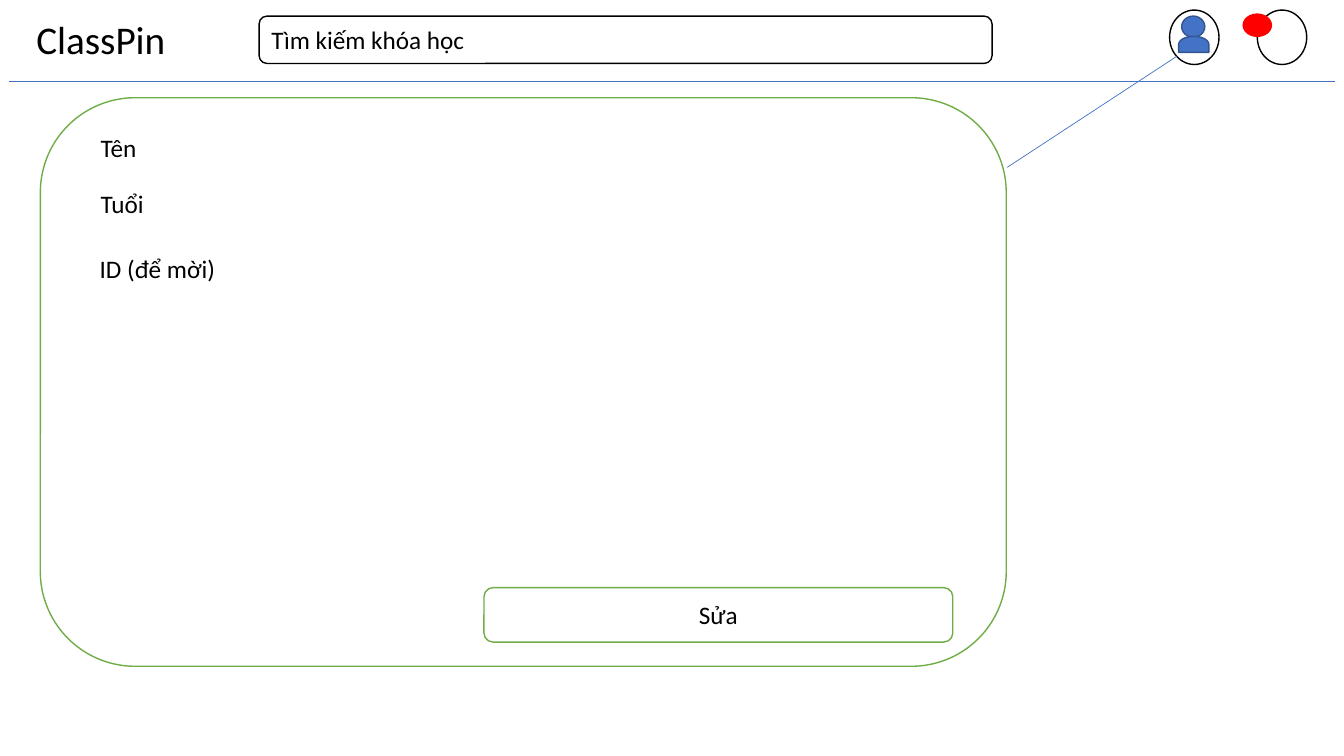
from collections import namedtuple
from dataclasses import dataclass

from lxml.etree import SubElement
from pptx import Presentation
from pptx.dml.color import RGBColor
from pptx.enum.shapes import MSO_CONNECTOR, MSO_SHAPE
from pptx.enum.text import MSO_ANCHOR, MSO_AUTO_SIZE, PP_ALIGN
from pptx.oxml.ns import qn
from pptx.util import Pt

EMU_PER_PX = 9144
Box = namedtuple("Box", "x y w h")


@dataclass(frozen=True)
class Theme:
    """Colours, font and sizes used on the slide."""
    font: str = "Calibri"
    title_size: int = 28
    body_size: int = 18
    outline: float = 1
    hairline: float = 0.5
    black: str = "000000"
    white: str = "FFFFFF"
    blue: str = "4472C4"
    navy: str = "325491"
    red: str = "FF0000"
    green: str = "70AD47"


THEME = Theme()


def rgb(color):
    """Turn a hex string into a colour."""
    return RGBColor.from_string(color)


def emu(*lengths):
    """Turn px lengths into EMU."""
    return [length * EMU_PER_PX for length in lengths]


def inside(box, x, y, w, h):
    """Return a box placed relative to another one."""
    return Box(box.x + x, box.y + y, w, h)


def write(sp, text, size=THEME.body_size, align=PP_ALIGN.LEFT, anchor=MSO_ANCHOR.TOP):
    """Put one formatted line of text into a shape."""
    tf = sp.text_frame
    tf.text = text
    tf.word_wrap = True
    tf.auto_size = MSO_AUTO_SIZE.NONE
    tf.vertical_anchor = anchor
    p = tf.paragraphs[0]
    p.alignment = align
    font = p.runs[0].font
    font.name, font.size = THEME.font, Pt(size)
    font.color.rgb = rgb(THEME.black)


def add_shape(slide, kind, box, fill, line):
    """Add a flat preset shape."""
    sp = slide.shapes.add_shape(kind, *emu(*box))
    sp.shadow.inherit = False
    sp.fill.solid()
    sp.fill.fore_color.rgb = rgb(fill)
    sp.line.color.rgb = rgb(line)
    sp.line.width = Pt(THEME.outline)
    return sp


def add_line(slide, x1, y1, x2, y2):
    """Add a thin straight connector."""
    line = slide.shapes.add_connector(MSO_CONNECTOR.STRAIGHT, *emu(x1, y1, x2, y2))
    line.line.color.rgb = rgb(THEME.blue)
    line.line.width = Pt(THEME.hairline)
    SubElement(line._element.spPr, qn("a:effectLst"))


def add_avatar(slide, box):
    """Draw the user's head and shoulders in a circle."""
    add_shape(slide, MSO_SHAPE.OVAL, box, THEME.white, THEME.black)
    add_shape(slide, MSO_SHAPE.OVAL, inside(box, 12, 6, 23, 21), THEME.blue, THEME.navy)
    shoulders = add_shape(slide, MSO_SHAPE.FLOWCHART_DELAY, inside(box, 16, 19, 16, 30),
                          THEME.blue, THEME.navy)
    shoulders.rotation = 270


def add_notification(slide, box):
    """Draw the notification circle with its red badge."""
    add_shape(slide, MSO_SHAPE.OVAL, box, THEME.white, THEME.black)
    add_shape(slide, MSO_SHAPE.OVAL, inside(box, -14, 4, 28, 22), THEME.red, THEME.red)


def add_header(slide, box):
    """Draw the title, search field, icons and divider."""
    title = slide.shapes.title
    title.left, title.top, title.width, title.height = emu(*inside(box, 26, 10, 153, 57))
    write(title, "ClassPin", THEME.title_size)
    bottom = box.y + box.h
    add_line(slide, box.x + 9, bottom, box.x + box.w - 9, bottom)
    search = add_shape(slide, MSO_SHAPE.ROUNDED_RECTANGLE, inside(box, 257, 16, 727, 47),
                       THEME.white, THEME.black)
    write(search, "Tìm kiếm khóa học", anchor=MSO_ANCHOR.MIDDLE)
    add_avatar(slide, inside(box, 1160, 10, 49, 54))
    add_notification(slide, inside(box, 1247, 10, 49, 54))


def add_profile(slide, box):
    """Draw the profile panel with its fields and edit button."""
    add_shape(slide, MSO_SHAPE.ROUNDED_RECTANGLE, box, THEME.white, THEME.green)
    for text, x, y in (("Tên", 50, 29), ("Tuổi", 50, 85), ("ID (để mời)", 49, 149)):
        label = slide.shapes.add_textbox(*emu(*inside(box, x, y, 231, 40)))
        write(label, text)
    button = add_shape(slide, MSO_SHAPE.ROUNDED_RECTANGLE, inside(box, 440, 486, 465, 54),
                       THEME.white, THEME.green)
    write(button, "Sửa", align=PP_ALIGN.CENTER, anchor=MSO_ANCHOR.MIDDLE)
    right = box.x + box.w
    add_line(slide, right + 1, box.y + 69, right + 169, box.y - 41)


def main():
    """Build and save the slide."""
    prs = Presentation()
    prs.slide_width, prs.slide_height = emu(1333, 750)
    slide = prs.slides.add_slide(prs.slide_layouts[5])
    add_header(slide, Box(0, 0, 1333, 81))
    add_profile(slide, Box(40, 97, 958, 564))
    prs.save("out.pptx")


if __name__ == "__main__":
    main()
